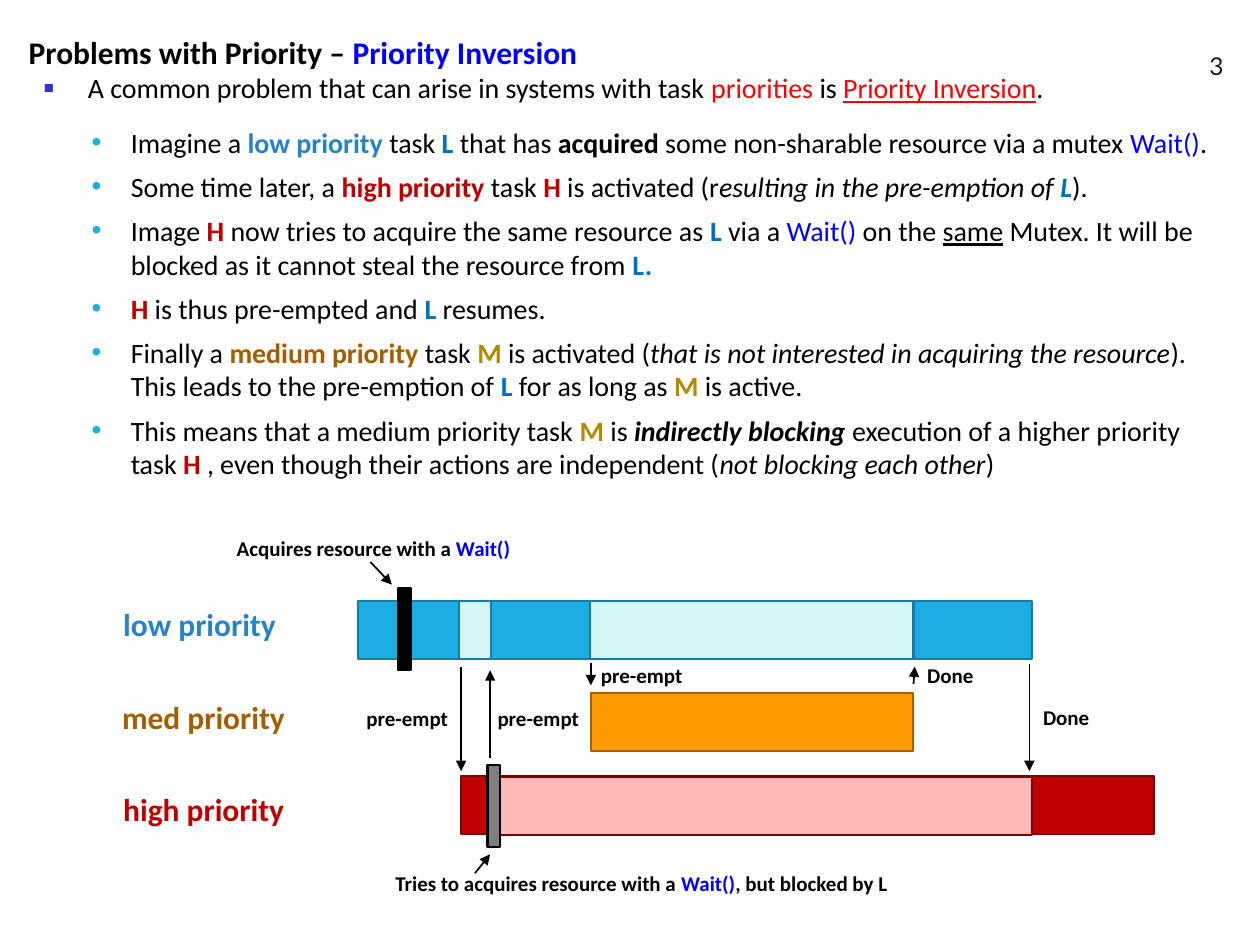
from lxml import etree
from pptx import Presentation
from pptx.dml.color import RGBColor
from pptx.enum.shapes import MSO_CONNECTOR, MSO_SHAPE
from pptx.enum.text import MSO_ANCHOR, PP_ALIGN
from pptx.oxml.ns import qn
from pptx.util import Inches, Pt

RECTANGLE = MSO_SHAPE.RECTANGLE
STRAIGHT = MSO_CONNECTOR.STRAIGHT
TOP, BOTTOM = MSO_ANCHOR.TOP, MSO_ANCHOR.BOTTOM
LEFT, RIGHT = PP_ALIGN.LEFT, PP_ALIGN.RIGHT

BLACK = RGBColor(0x00, 0x00, 0x00)
CHARCOAL = RGBColor(0x1C, 0x1C, 0x1C)
GRAY = RGBColor(0x7F, 0x7F, 0x7F)
BLUE = RGBColor(0x00, 0x00, 0xFF)
RED = RGBColor(0xFF, 0x00, 0x00)
INDIGO = RGBColor(0x33, 0x33, 0xCC)
LOW_TEXT = RGBColor(0x26, 0x83, 0xC6)
LOW_LETTER = RGBColor(0x00, 0x70, 0xC0)
LOW_FILL = RGBColor(0x1C, 0xAD, 0xE4)
LOW_PALE = RGBColor(0xD3, 0xF5, 0xF6)
LOW_LINE = RGBColor(0x11, 0x7E, 0xA7)
MEDIUM_TEXT = RGBColor(0xA4, 0x5E, 0x00)
MEDIUM_LETTER = RGBColor(0xAD, 0x8C, 0x01)
MEDIUM_FILL = RGBColor(0xFF, 0x99, 0x00)
HIGH_FILL = RGBColor(0xC0, 0x00, 0x00)
HIGH_PALE = RGBColor(0xFF, 0xB9, 0xB9)
HIGH_LINE = RGBColor(0x80, 0x00, 0x00)

# Run styles: colour, then any of b(old), i(talic), u(nderline)
PLAIN, BOLD, ITALIC, UNDERLINE = (BLACK, ""), (BLACK, "b"), (BLACK, "i"), (BLACK, "u")
CODE = (BLUE, "")
LOW, MEDIUM, HIGH = (LOW_LETTER, "b"), (MEDIUM_LETTER, "b"), (HIGH_FILL, "b")

presentation = Presentation()
presentation.slide_width, presentation.slide_height = Inches(10), Inches(7.5)
slide = presentation.slides.add_slide(presentation.slide_layouts[6])

# Grid of 100 columns by 75 rows
COLUMN = presentation.slide_width // 100
ROW = presentation.slide_height // 75


def place(left, top, width, height):
    return [round(left * COLUMN), round(top * ROW), round(width * COLUMN), round(height * ROW)]


def add_text(area, paragraphs, size=12, font="Calibri", align=LEFT, anchor=TOP, wrap=False):
    """Each paragraph is a list of (text, style) runs and a dict of its own format."""
    frame = slide.shapes.add_textbox(*place(*area)).text_frame
    frame.word_wrap, frame.vertical_anchor = wrap, anchor
    for index, (runs, form) in enumerate(paragraphs):
        paragraph = frame.add_paragraph() if index else frame.paragraphs[0]
        paragraph.alignment = align
        paragraph.line_spacing = form.get("spacing", 1.0)
        paragraph.space_before = Pt(form.get("before", 0))
        paragraph.space_after = Pt(form.get("after", 0))
        if "bullet" in form:
            symbol, color, percent, margin, hanging = form["bullet"]
            properties = paragraph._p.get_or_add_pPr()
            properties.set("marL", str(round(margin * COLUMN)))
            properties.set("indent", str(round(-hanging * COLUMN)))
            bullet_color = etree.SubElement(properties, qn("a:buClr"))
            etree.SubElement(bullet_color, qn("a:srgbClr"), val=str(color))
            etree.SubElement(properties, qn("a:buSzPct"), val=str(percent * 1000))
            etree.SubElement(properties, qn("a:buFont"), typeface="Arial")
            etree.SubElement(properties, qn("a:buChar"), char=symbol)
        for text, (color, marks) in runs:
            run = paragraph.add_run()
            run.text = text
            run.font.name, run.font.size = font, Pt(form.get("size", size))
            run.font.color.rgb = color
            run.font.bold, run.font.italic = "b" in marks, "i" in marks
            run.font.underline = "u" in marks


# Slide number
add_text((77.3, 1.9, 20.8, 5), [([("3", (CHARCOAL, ""))], {})],
         size=14, font="Lato", align=RIGHT, anchor=BOTTOM, wrap=True)

# Heading, introduction and bullets
heading = [("Problems with Priority – ", BOLD), ("Priority Inversion", (BLUE, "b"))]
introduction = [
    ("A common problem that can arise in systems with task ", PLAIN), ("priorities", (RED, "")),
    (" is ", PLAIN), ("Priority Inversion", (RED, "u")), (".", PLAIN)]
points = [
    [("Imagine a ", PLAIN), ("low priority", (LOW_TEXT, "b")), (" task ", PLAIN), ("L", LOW),
     (" that has ", PLAIN), ("acquired", BOLD),
     (" some non-sharable resource via a mutex ", PLAIN), ("Wait()", CODE), (".", PLAIN)],
    [("Some time later, a ", PLAIN), ("high priority ", HIGH), ("task ", PLAIN), ("H ", HIGH),
     ("is activated (r", PLAIN), ("esulting in the pre-emption of ", ITALIC),
     ("L", (LOW_LETTER, "bi")), (").", PLAIN)],
    [("Image ", PLAIN), ("H ", HIGH), ("now tries to acquire the same resource as ", PLAIN),
     ("L ", LOW), ("via a ", PLAIN), ("Wait()", CODE), (" on the ", PLAIN), ("same", UNDERLINE),
     (" Mutex. It will be blocked as it cannot steal the resource from ", PLAIN), ("L.", LOW)],
    [("H", HIGH), (" is thus pre-empted and ", PLAIN), ("L", LOW), (" resumes.", PLAIN)],
    [("Finally a ", PLAIN), ("medium priority", (MEDIUM_TEXT, "b")), (" task ", PLAIN),
     ("M", MEDIUM), (" is activated (", PLAIN),
     ("that is not interested in acquiring the resource", ITALIC),
     ("). This leads to the pre-emption of ", PLAIN), ("L", LOW),
     (" for as long as ", PLAIN), ("M ", MEDIUM), ("is active.", PLAIN)],
    [("This means that a medium priority task ", PLAIN), ("M ", MEDIUM), ("is ", PLAIN),
     ("indirectly blocking", (BLACK, "bi")),
     (" execution of a higher priority task ", PLAIN), ("H ", HIGH),
     (", even though their actions are independent (", PLAIN),
     ("not blocking each other", ITALIC), (")", PLAIN)],
]
square = ("■", INDIGO, 60, 4.7, 3.5)
dot = ("•", LOW_FILL, 100, 8.1, 3.1)
body = [(heading, {"size": 18, "spacing": 0.8}),
        (introduction, {"spacing": 0.8, "before": 4, "after": 12, "bullet": square})]
body += [(point, {"after": 6, "bullet": dot}) for point in points]
add_text((1.3, 2.7, 96.6, 39.8), body, size=16, wrap=True)

# Timeline bars and resource markers
BAR, MARKER = 4.6, 6.5
for left, top, width, height, fill, line in [
    (28.4, 47.7, 34.2, BAR, LOW_FILL, LOW_LINE),
    (36.6, 61.6, 55, BAR, HIGH_FILL, HIGH_LINE),
    (46.9, 55, 25.6, BAR, MEDIUM_FILL, MEDIUM_TEXT),
    (31.6, 46.7, 1, MARKER, BLACK, BLACK),
    (36.4, 47.7, 2.6, BAR, LOW_PALE, LOW_LINE),
    (38.8, 61.7, 43.1, BAR, HIGH_PALE, HIGH_LINE),
    (38.7, 60.7, 1, MARKER, GRAY, BLACK),
    (46.8, 47.7, 34.3, BAR, LOW_PALE, LOW_LINE),
    (72.5, 47.7, 9.4, BAR, LOW_FILL, LOW_LINE),
]:
    bar = slide.shapes.add_shape(RECTANGLE, *place(left, top, width, height))
    bar.shadow.inherit = False
    bar.fill.solid()
    bar.fill.fore_color.rgb = fill
    bar.line.color.rgb = line
    bar.line.width = Pt(1.25)

# Arrows between the tasks
for start_x, start_y, end_x, end_y in [
    (29.4, 44.6, 31.1, 46.4), (36.6, 52.9, 36.6, 61.2), (38.9, 60.2, 38.9, 53.2),
    (46.9, 52.6, 46.9, 54.4), (72.5, 54.3, 72.6, 52.9), (81.7, 52.7, 81.7, 61.2),
    (37.7, 69.3, 38.9, 67.8),
]:
    arrow = slide.shapes.add_connector(
        STRAIGHT, *place(start_x, start_y, end_x, end_y))
    arrow.line.color.rgb = BLACK
    arrow.line.width = Pt(1)
    etree.SubElement(arrow.line._get_or_add_ln(), qn("a:tailEnd"), type="triangle")
    etree.SubElement(arrow._element.spPr, qn("a:effectLst"))

# Task names
for left, top, width, name, color in [
    (8.8, 47.5, 14.7, "low priority", LOW_TEXT),
    (8.7, 54.9, 15.5, "med priority", MEDIUM_TEXT),
    (8.8, 62.2, 15.3, "high priority", HIGH_FILL),
]:
    add_text((left, top, width, 4), [([(name, (color, "b"))], {})], size=18)

# Event labels
for left, top, width, runs in [
    (17.8, 42, 23.8, [("Acquires resource with a", BOLD), (" Wait()", (BLUE, "b"))]),
    (28.1, 55.5, 8.5, [("pre-empt", BOLD)]),
    (38.5, 55.5, 8.5, [("pre-empt", BOLD)]),
    (46.7, 52.1, 8.5, [("pre-empt", BOLD)]),
    (72.6, 52.1, 5.7, [("Done", BOLD)]),
    (81.8, 55.4, 5.7, [("Done", BOLD)]),
    (30.4, 68.6, 41.7, [("Tries to acquires resource with a", BOLD), (" Wait()", (BLUE, "b")),
                        (", but blocked by L", BOLD)]),
]:
    add_text((left, top, width, 3), [(runs, {})])

presentation.save("out.pptx")
